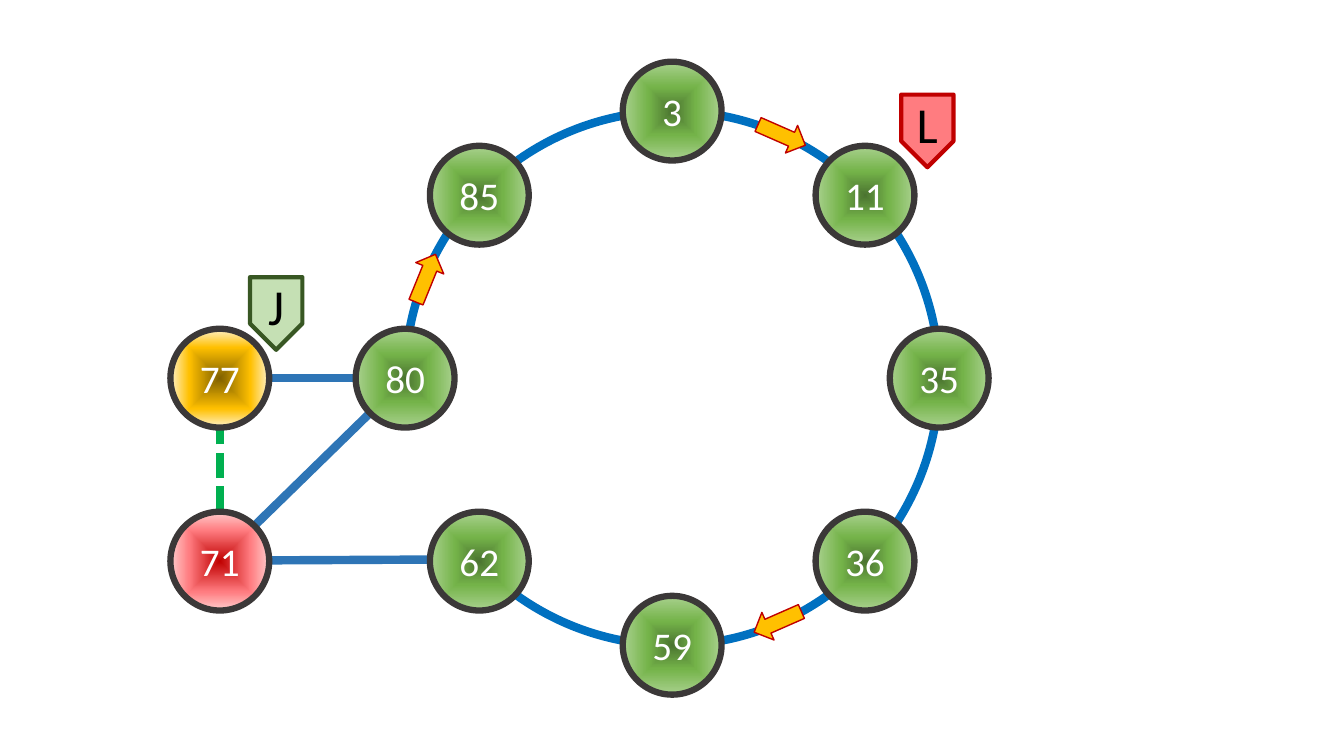
"""Draw a ring of numbered nodes with a joining node and a leaving node."""
from dataclasses import dataclass

from lxml.etree import SubElement
from pptx import Presentation
from pptx.dml.color import RGBColor as RGB
from pptx.enum.dml import MSO_LINE as Dash
from pptx.enum.shapes import MSO_CONNECTOR as Link, MSO_SHAPE as Kind
from pptx.enum.text import MSO_ANCHOR as Anchor, MSO_AUTO_SIZE as Fit, PP_ALIGN as Align
from pptx.oxml.ns import qn
from pptx.util import Cm, Pt

WHITE = RGB(0xFF, 0xFF, 0xFF)
BLACK = RGB(0x00, 0x00, 0x00)
BLUE = RGB(0x00, 0x70, 0xC0)
STEEL = RGB(0x2E, 0x75, 0xB6)
LEAF = RGB(0x00, 0xB0, 0x50)
COAL = RGB(0x3B, 0x38, 0x38)
GOLD = RGB(0xFF, 0xC0, 0x00)
RED = RGB(0xC0, 0x00, 0x00)
ROSE = RGB(0xFF, 0x7C, 0x80)
MINT = RGB(0xC5, 0xE0, 0xB4)
PINE = RGB(0x38, 0x57, 0x23)

GREENS = ((0, RGB(0x4B, 0x74, 0x30)), (48, RGB(0x74, 0xB3, 0x49)), (100, RGB(0xA9, 0xD1, 0x8E)))
REDS = ((0, RED), (62, ROSE), (100, RGB(0xFF, 0xCC, 0xCC)))
GOLDS = ((0, RGB(0x80, 0x60, 0x00)), (62, GOLD), (100, RGB(0xFF, 0xF2, 0xCC)))

MID_X, MID_Y = 16.94, 9.53
RADIUS = 6.73
SIDE, RISE = 4.86, 4.61
OUTER = 11.4
NODE = 2.49


@dataclass
class Node:
    label: str
    dx: float
    dy: float
    stops: tuple = GREENS


@dataclass
class Edge:
    start: tuple
    end: tuple
    color: RGB = STEEL
    dash: Dash | None = None


@dataclass
class Arrow:
    x: float
    y: float
    turn: float


@dataclass
class Flag:
    label: str
    x: float
    y: float
    fill: RGB
    line: RGB


NODES = (
    Node("3", 0, -RADIUS),
    Node("11", SIDE, -RISE),
    Node("35", RADIUS, 0),
    Node("36", SIDE, RISE),
    Node("59", 0, RADIUS),
    Node("62", -SIDE, RISE),
    Node("80", -RADIUS, 0),
    Node("85", -SIDE, -RISE),
    Node("71", -OUTER, RISE, REDS),
    Node("77", -OUTER, 0, GOLDS),
)
JOIN = Edge((5.54, 12.89), (5.54, 10.77), LEAF, Dash.SQUARE_DOT)
EDGES = (
    Edge((8.97, 9.53), (6.78, 9.53)),
    Edge((6.81, 14.12), (10.82, 14.1)),
    Edge((6.43, 13.23), (9.32, 10.41)),
)
ARROWS = (Arrow(19.7, 3.4, 23.7), Arrow(19.6, 15.67, 156.3), Arrow(10.73, 7.01, 292.1))
FLAGS = (Flag("L", 23.37, 3.3, ROSE, RED), Flag("J", 6.96, 7.9, MINT, PINE))
GAP = (
    (10.19, 10.8), (10.52, 10.77), (10.7, 10.9), (11.18, 11.33), (11.53, 11.73),
    (11.66, 12.17), (11.61, 12.47), (11.43, 12.85), (11.35, 13.08), (11.07, 13.23),
    (10.87, 12.98), (10.44, 12.47), (10.03, 12.12), (9.8, 11.71), (9.83, 11.51), (10.01, 11.18),
)


def write(shape, text: str, *, size: int, color: RGB, font: str = "Calibri", anchor=Anchor.MIDDLE) -> None:
    frame = shape.text_frame
    frame.word_wrap = True
    frame.vertical_anchor = anchor
    par = frame.paragraphs[0]
    par.alignment = Align.CENTER
    run = par.add_run()
    run.text = text
    run.font.size = Pt(size)
    run.font.name = font
    run.font.color.rgb = color


def paint(shape, fill: RGB | None, line: RGB, width: float) -> None:
    if fill is None:
        shape.fill.background()
    else:
        shape.fill.solid()
        shape.fill.fore_color.rgb = fill
    shape.line.color.rgb = line
    shape.line.width = Pt(width)
    shape.shadow.inherit = False


def place(shapes, kind: Kind, x: float, y: float, wide: float, high: float):
    return shapes.add_shape(kind, Cm(x - wide / 2), Cm(y - high / 2), Cm(wide), Cm(high))


def blend(shape, stops: tuple) -> None:
    shape.fill.gradient()
    grad = shape._element.spPr.find(qn("a:gradFill"))
    grad.clear()
    items = SubElement(grad, qn("a:gsLst"))
    for pos, color in stops:
        stop = SubElement(items, qn("a:gs"), pos=str(pos * 1000))
        SubElement(stop, qn("a:srgbClr"), val=str(color))
    way = SubElement(grad, qn("a:path"), path="shape")
    SubElement(way, qn("a:fillToRect"), l="50000", t="50000", r="50000", b="50000")


def draw_edge(shapes, edge: Edge):
    line = shapes.add_connector(Link.STRAIGHT, *map(Cm, edge.start + edge.end))
    line.line.color.rgb = edge.color
    line.line.width = Pt(6)
    if edge.dash is not None:
        line.line.dash_style = edge.dash
    SubElement(line._element.spPr, qn("a:effectLst"))
    return line


def draw_gap(shapes) -> None:
    first, *rest = [(Cm(x), Cm(y)) for x, y in GAP]
    form = shapes.build_freeform(*first)
    form.add_line_segments(rest, close=True)
    paint(form.convert_to_shape(), WHITE, WHITE, 1)


def draw_node(shapes, node: Node):
    disc = place(shapes, Kind.OVAL, MID_X + node.dx, MID_Y + node.dy, NODE, NODE)
    paint(disc, WHITE, COAL, 4.5)
    blend(disc, node.stops)
    write(disc, node.label, size=28, color=WHITE)
    return disc


def draw_arrow(shapes, arrow: Arrow) -> None:
    shape = place(shapes, Kind.RIGHT_ARROW, arrow.x, arrow.y, 1.3, 0.76)
    shape.rotation = arrow.turn
    paint(shape, GOLD, RED, 1)


def draw_flag(shapes, flag: Flag) -> None:
    group = shapes.add_group_shape().shapes
    plate = place(group, Kind.PENTAGON, flag.x, flag.y, 1.83, 1.32)
    plate.rotation = 90
    paint(plate, flag.fill, flag.line, 3)
    box = group.add_textbox(Cm(flag.x - 0.66), Cm(flag.y - 1.08), Cm(1.32), Cm(1.8))
    write(box, flag.label, size=36, color=BLACK, anchor=Anchor.TOP)
    box.text_frame.auto_size = Fit.SHAPE_TO_FIT_TEXT


def main() -> None:
    deck = Presentation()
    deck.slide_width, deck.slide_height = Cm(33.87), Cm(19.05)
    shapes = deck.slides.add_slide(deck.slide_layouts[6]).shapes
    join = draw_edge(shapes, JOIN)
    for edge in EDGES:
        draw_edge(shapes, edge)
    ring = place(shapes, Kind.OVAL, MID_X, MID_Y, 2 * RADIUS, 2 * RADIUS)
    paint(ring, None, BLUE, 6)
    draw_gap(shapes)
    discs = {node.label: draw_node(shapes, node) for node in NODES}
    join.begin_connect(discs["71"], 0)
    for arrow in ARROWS:
        draw_arrow(shapes, arrow)
    for flag in FLAGS:
        draw_flag(shapes, flag)
    deck.save("out.pptx")


if __name__ == "__main__":
    main()
